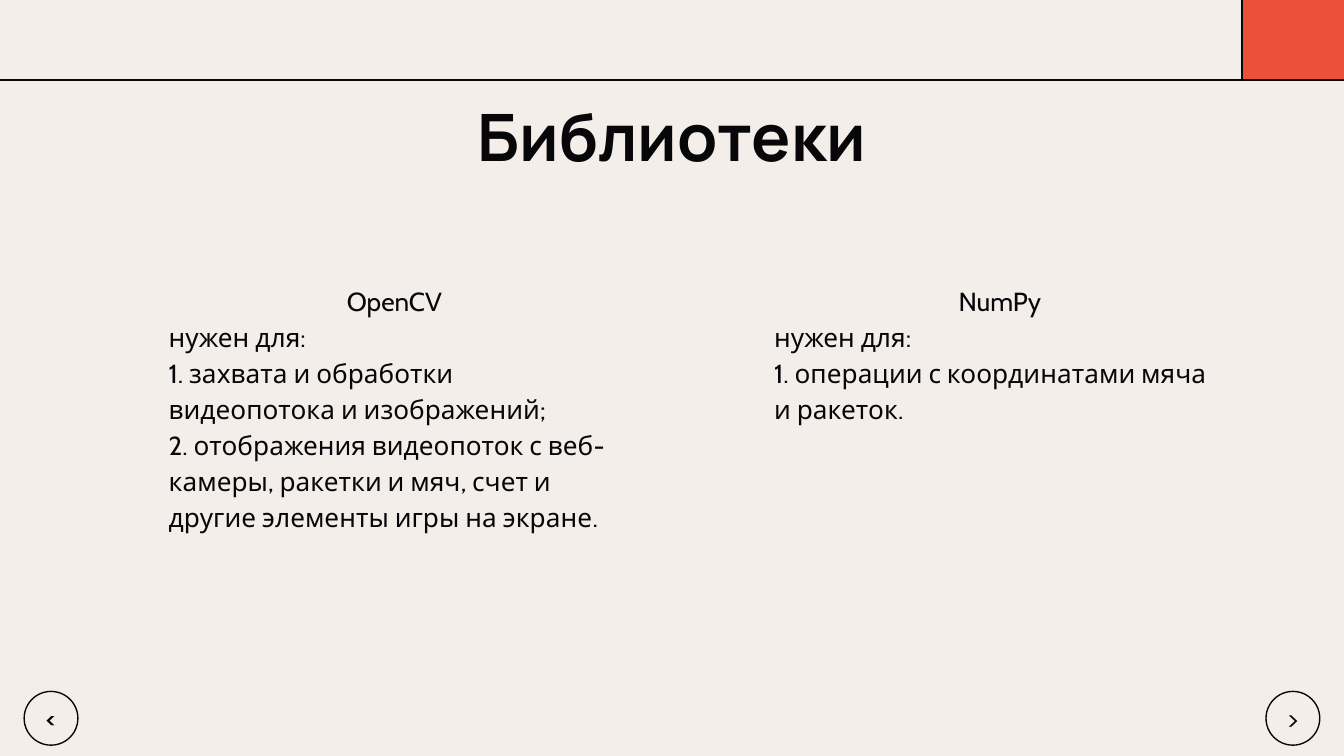
from lxml.etree import SubElement
from pptx import Presentation
from pptx.dml.color import RGBColor
from pptx.enum.shapes import MSO_CONNECTOR as CONN, MSO_SHAPE as SHAPE
from pptx.enum.text import MSO_ANCHOR as ANCHOR, MSO_AUTO_SIZE as FIT, PP_ALIGN as ALIGN
from pptx.oxml.ns import qn
from pptx.util import Emu, Pt

PX = 4572  # 200 px to the inch
WIDTH, HEIGHT = 2000, 1125


def px(n):
    return Emu(n * PX)


def rgb(value):
    return RGBColor.from_string(value)


def write(p, text, font="Cabin", size=14, color="070709", bold=False,
          align=ALIGN.LEFT, spacing=1.0):
    p.alignment = align
    p.line_spacing = spacing
    p.space_before = p.space_after = Pt(0)
    r = p.add_run()
    r.text = text
    r.font.name, r.font.size, r.font.bold = font, Pt(size), bold
    r.font.color.rgb = rgb(color)


def remove_bullet(p):
    pPr = p._p.get_or_add_pPr()
    pPr.set("marL", "0")
    pPr.set("indent", "0")
    SubElement(pPr, qn("a:buNone"))


class Deck:
    INK, PAPER, ACCENT = "070709", "F3EEEA", "EA5138"
    LINE = Pt(0.75)

    def __init__(self):
        self.prs = Presentation()
        self.prs.slide_width, self.prs.slide_height = px(WIDTH), px(HEIGHT)

    def add_slide(self, layout):
        self.s = self.prs.slides.add_slide(self.prs.slide_layouts[layout])
        fill = self.s.background.fill
        fill.solid()
        fill.fore_color.rgb = rgb(self.PAPER)

    def outline(self, sp):
        sp.line.color.rgb = rgb(self.INK)
        sp.line.width = self.LINE

    def rule(self, x1, y1, x2, y2):
        sp = self.s.shapes.add_connector(CONN.STRAIGHT, px(x1), px(y1), px(x2), px(y2))
        self.outline(sp)
        SubElement(sp._element.spPr, qn("a:effectLst"))

    def shape(self, kind, x, y, w, h, fill=None):
        sp = self.s.shapes.add_shape(kind, px(x), px(y), px(w), px(h))
        sp.shadow.inherit = False
        if fill:
            sp.fill.solid()
            sp.fill.fore_color.rgb = rgb(fill)
        else:
            sp.fill.background()
        self.outline(sp)
        return sp

    def frame(self, sp, anchor=ANCHOR.TOP):
        tf = sp.text_frame
        tf.word_wrap, tf.auto_size, tf.vertical_anchor = True, FIT.NONE, anchor
        tf.margin_left = tf.margin_right = tf.margin_top = tf.margin_bottom = px(20)
        return tf

    def placeholder(self, idx, x, y, w, h):
        sp = self.s.placeholders[idx]
        sp.left, sp.top, sp.width, sp.height = px(x), px(y), px(w), px(h)
        return self.frame(sp)

    def title(self, text, *box):
        tf = self.placeholder(0, *box)
        write(tf.paragraphs[0], text, font="Manrope", size=35, bold=True,
              align=ALIGN.CENTER)

    def column(self, idx, heading, lines, *box):
        tf = self.placeholder(idx, *box)
        for i, text in enumerate([heading, *lines]):
            p = tf.add_paragraph() if i else tf.paragraphs[0]
            write(p, text, align=ALIGN.LEFT if i else ALIGN.CENTER, spacing=1.15)
            remove_bullet(p)

    def nav_button(self, x, text, **style):
        tf = self.frame(self.shape(SHAPE.OVAL, x, 1029, 80, 80), ANCHOR.MIDDLE)
        write(tf.paragraphs[0], text, align=ALIGN.CENTER, **style)


def main():
    deck = Deck()
    deck.add_slide(layout=3)
    deck.rule(-2, 119, WIDTH + 2, 119)
    deck.shape(SHAPE.RECTANGLE, 1848, -40, 158, 158, fill=deck.ACCENT)

    deck.title("Библиотеки", 156, 123, 1688, 126)
    libraries = [
        ("OpenCV", ["нужен для:",
                    "1. захвата и обработки видеопотока и изображений;",
                    "2. отображения видеопоток с веб-камеры, ракетки и мяч, "
                    "счет и другие элементы игры на экране."]),
        ("NumPy", ["нужен для:",
                   "1. операции с координатами мяча и ракеток."]),
    ]
    for i, (name, uses) in enumerate(libraries):
        deck.column(i + 1, name, uses, 231 + 901 * i, 398, 712, 530)

    deck.nav_button(36, "<", size=12, bold=True)
    deck.nav_button(1884, ">", size=15)
    deck.prs.save("out.pptx")


if __name__ == "__main__":
    main()
